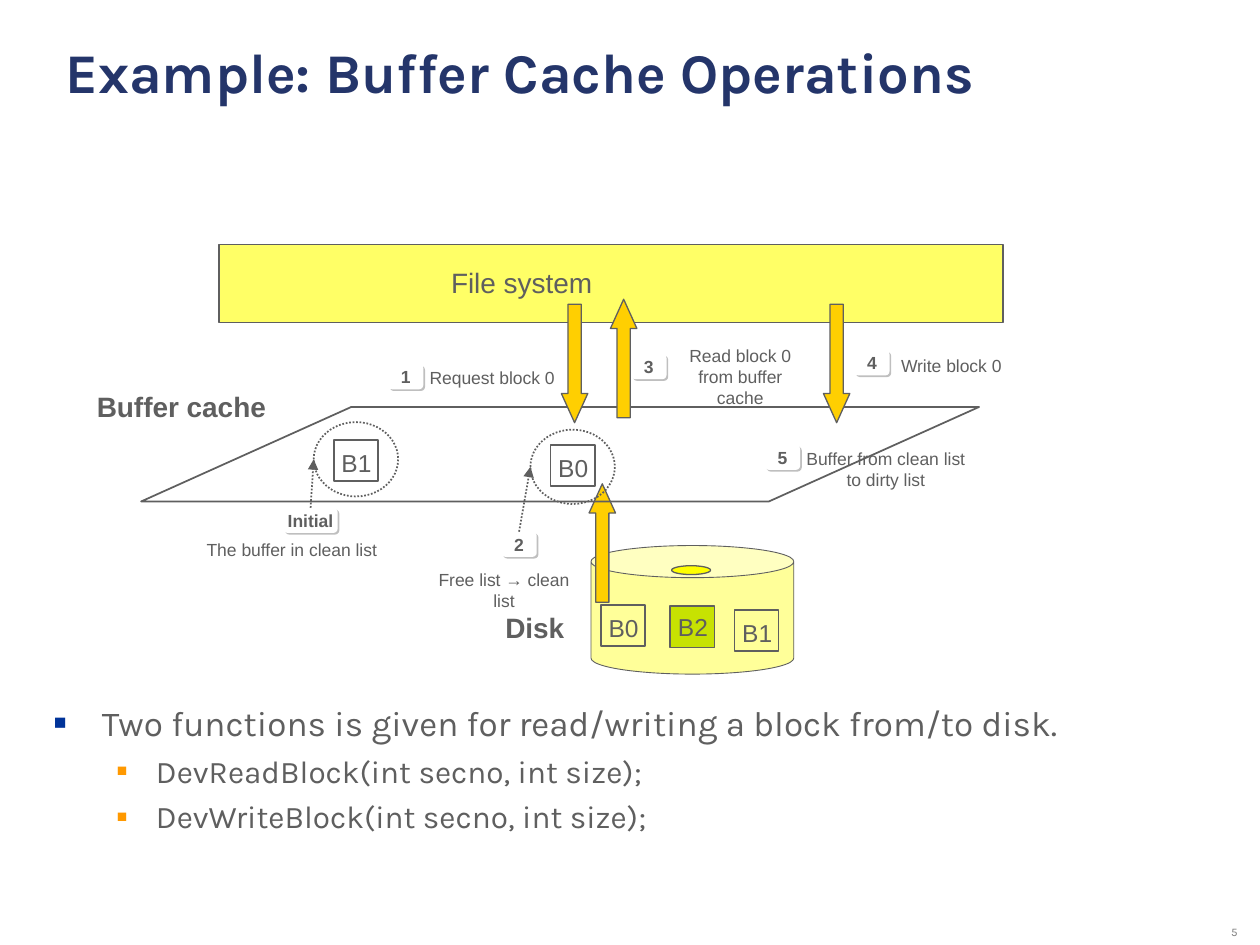
import pptx
import pptx.util
import pptx.dml.color
import pptx.enum.dml
import pptx.enum.shapes
import pptx.enum.text
import pptx.oxml
import pptx.oxml.ns
from lxml import etree

Inches, Pt = pptx.util.Inches, pptx.util.Pt
SHAPE = pptx.enum.shapes.MSO_SHAPE
ALIGN = pptx.enum.text.PP_ALIGN
ANCHOR = pptx.enum.text.MSO_ANCHOR
DOTTED = pptx.enum.dml.MSO_LINE.ROUND_DOT
qn = pptx.oxml.ns.qn

COLORS = {
    "title": "24356A", "ink": "5F5F5F", "number": "808080", "shadow": "808080",
    "system": "FFFF66", "disk": "FFFF99", "hub": "FFFF00", "arrow": "FFCF01",
    "dirty": "C7E202", "white": "FFFFFF", "bullet1": "003399", "bullet2": "FF9900",
}


def rgb(name):
    return pptx.dml.color.RGBColor.from_string(COLORS[name])


def style_paragraph(p, size, color="ink", bold=False, font="Arial", align=ALIGN.CENTER):
    p.alignment = align
    p.font.size, p.font.name, p.font.bold = Pt(size), font, bold
    p.font.color.rgb = rgb(color)


def add_text(slide, x, y, w, h, text, size, wrap=False, anchor=ANCHOR.TOP, **style):
    sp = slide.shapes.add_textbox(Inches(x), Inches(y), Inches(w), Inches(h))
    tf = sp.text_frame
    tf.word_wrap, tf.vertical_anchor = wrap, anchor
    tf.text = text
    for p in tf.paragraphs:
        style_paragraph(p, size, **style)
    return tf


def add_shape(slide, kind, x, y, w, h, fill=None, width=1.0):
    sp = slide.shapes.add_shape(kind, Inches(x), Inches(y), Inches(w), Inches(h))
    sp.shadow.inherit = False
    if fill:
        sp.fill.solid()
        sp.fill.fore_color.rgb = rgb(fill)
    else:
        sp.fill.background()
    if width:
        sp.line.color.rgb = rgb("ink")
        sp.line.width = Pt(width)
    else:
        sp.line.fill.background()
    return sp


def add_badge(slide, x, y, text, w=0.28):
    """White rounded tag with a soft offset shadow."""
    sp = add_shape(slide, SHAPE.ROUNDED_RECTANGLE, x, y, w, 0.2, "white", 0)
    effects = sp._element.spPr.find(qn("a:effectLst"))
    shadow = etree.SubElement(effects, qn("a:outerShdw"), dist=str(Pt(1.4)), dir="2700000")
    color = etree.SubElement(shadow, qn("a:srgbClr"), val=COLORS["shadow"])
    etree.SubElement(color, qn("a:alpha"), val="50000")
    tf = sp.text_frame
    tf.word_wrap, tf.vertical_anchor = False, ANCHOR.MIDDLE
    tf.text = text
    style_paragraph(tf.paragraphs[0], 10, bold=True)
    return sp


def add_block(slide, x, y, text, fill=None, drop=0.02):
    add_shape(slide, SHAPE.RECTANGLE, x, y, 0.35, 0.33, fill)
    add_text(slide, x - 0.04, y + drop, 0.44, 0.34, text, 14)


def add_arrow(slide, cx, cy, rotation):
    """Block arrow centred on (cx, cy): 90 points down, 270 up."""
    w, h = 0.94, 0.21
    sp = add_shape(slide, SHAPE.RIGHT_ARROW, cx - w / 2, cy - h / 2, w, h, "arrow", 0.75)
    sp.adjustments[0], sp.adjustments[1] = 0.5, 1.105
    sp.rotation = rotation


def add_pointer(slide, badge, x, y):
    """Dotted arrow from the top of a badge to (x, y)."""
    line = slide.shapes.add_connector(
        pptx.enum.shapes.MSO_CONNECTOR.STRAIGHT, 0, 0, Inches(x), Inches(y))
    line.begin_connect(badge, 0)
    line.line.color.rgb = rgb("ink")
    line.line.width, line.line.dash_style = Pt(1), DOTTED
    etree.SubElement(line.line._get_or_add_ln(), qn("a:tailEnd"), type="triangle")
    etree.SubElement(line._element.spPr, qn("a:effectLst"))


def add_disk(slide, x, y, w, h):
    add_shape(slide, SHAPE.CAN, x, y, w, h, "disk", 0.5)
    add_shape(slide, SHAPE.OVAL, x + 0.64, y + 0.16, 0.31, 0.07, "hub", 0.75)
    add_text(slide, x - 0.78, y + 0.47, 0.67, 0.37, "Disk", 16, bold=True)
    add_block(slide, x + 0.63, y + 0.48, "B2", "dirty", drop=0)
    add_block(slide, x + 0.08, y + 0.47, "B0")
    add_block(slide, x + 1.14, y + 0.51, "B1")
    # Block read up into the cache
    add_arrow(slide, x + 0.09, y - 0.02, 270)


def add_file_system(slide, x, y, w, h):
    add_shape(slide, SHAPE.RECTANGLE, x, y, w, h, "system")
    add_text(slide, x + 1.74, y + 0.12, 1.32, 0.37, "File system", 16)


def add_buffer_cache(slide, x, y, w, h):
    plane = add_shape(slide, SHAPE.PARALLELOGRAM, x, y, w, h)
    plane.adjustments[0] = 2.224
    add_text(slide, x - 0.45, y - 0.19, 1.54, 0.37, "Buffer cache", 16, bold=True)

    # Buffers: block, ring, and the badge and caption that explain it
    buffers = [
        ("B1", 1.53, 0.26, 1.37, 0.12, "Initial", 1.13, 0.80, 0.43,
         "The buffer in clean list", 0.42, 1.00, 1.55),
        ("B0", 3.25, 0.30, 3.09, 0.18, "2", 2.86, 0.99, 0.28,
         "Free list → clean list", 2.16, 1.24, 1.44),
    ]
    for name, bx, by, rx, ry, tag, tx, ty, tw, note, nx, ny, nw in buffers:
        add_block(slide, x + bx, y + by, name)
        ring = add_shape(slide, SHAPE.OVAL, x + rx, y + ry, 0.67, 0.59)
        ring.line.dash_style = DOTTED
        badge = add_badge(slide, x + tx, y + ty, tag, tw)
        add_text(slide, x + nx, y + ny, nw, 0.27, note, 10)
        add_pointer(slide, badge, x + rx, y + ry + 0.295)

    # Step 5
    add_text(slide, x + 5.18, y + 0.28, 1.46, 0.44,
             "Buffer from clean list\nto dirty list", 10)
    add_badge(slide, x + 4.95, y + 0.30, "5")


def add_requests(slide, x, y):
    """Steps 1, 3 and 4, between the file system and the cache."""
    steps = [
        ("1", 0, 0.20, "Request block 0", 0.23, 0.17, 1.19, 0.27, 1.48, 0.195, 90),
        ("3", 1.93, 0.12, "Read block 0\nfrom buffer cache",
         2.16, 0, 1.27, 0.44, 1.87, 0.155, 270),
        ("4", 3.70, 0.09, "Write block 0", 3.95, 0.08, 1.04, 0.27, 3.56, 0.195, 90),
    ]
    for tag, tx, ty, note, nx, ny, nw, nh, cx, cy, rotation in steps:
        add_text(slide, x + nx, y + ny, nw, nh, note, 10)
        add_badge(slide, x + tx, y + ty, tag)
        add_arrow(slide, x + cx, y + cy, rotation)


def add_bullets(slide, x, y, w, h):
    # text, size, left margin, hanging indent, space before, bullet colour, bullet size
    items = [("Two functions is given for read/writing a block from/to disk.",
              20, 0.38, 0.38, 0, "bullet1", 60)]
    items += [(f"Dev{verb}Block(int secno, int size);", 18, 0.81, 0.31, 4.5, "bullet2", 55)
              for verb in ("Read", "Write")]
    tf = add_text(slide, x, y, w, h, "\n".join(item[0] for item in items), 18,
                  wrap=True, font="Karla", align=ALIGN.LEFT)
    for p, (_, size, margin, hang, before, color, scale) in zip(tf.paragraphs, items):
        pPr = p._p.get_or_add_pPr()
        pPr.set("marL", str(Inches(margin)))
        pPr.set("indent", str(-Inches(hang)))
        bullet = pptx.oxml.parse_xml(
            f'<a:pPr xmlns:a="http://schemas.openxmlformats.org/drawingml/2006/main">'
            f'<a:buClr><a:srgbClr val="{COLORS[color]}"/></a:buClr>'
            f'<a:buSzPct val="{scale * 1000}"/><a:buFont typeface="Arial"/>'
            f'<a:buChar char="■"/></a:pPr>')
        for position, child in enumerate(list(bullet)):
            pPr.insert(position, child)
        p.font.size = Pt(size)
        if before:
            p.level = 1
            p.space_before = Pt(before)


def main():
    prs = pptx.Presentation()
    prs.slide_width, prs.slide_height = Inches(10), Inches(7.5)
    slide = prs.slides.add_slide(prs.slide_layouts[6])

    # Slide number and title
    number = add_text(slide, 8.92, 7.25, 1, 0.25, "5", 6.6, wrap=True, anchor=ANCHOR.BOTTOM,
                      color="number", font="Karla", align=ALIGN.RIGHT)
    number.paragraphs[0].line_spacing = 0.8
    add_text(slide, 0.42, 0.25, 9.03, 1.22, "Example: Buffer Cache Operations", 32, wrap=True,
             color="title", bold=True, font="Karla", align=ALIGN.LEFT)

    # Diagram and notes
    add_disk(slide, 4.69, 4.33, 1.61, 1.02)
    add_file_system(slide, 1.74, 1.94, 6.22, 0.62)
    add_buffer_cache(slide, 1.12, 3.23, 6.65, 0.75)
    add_requests(slide, 3.08, 2.69)
    add_bullets(slide, 0.33, 5.52, 9.04, 1.48)
    prs.save("out.pptx")


if __name__ == "__main__":
    main()
